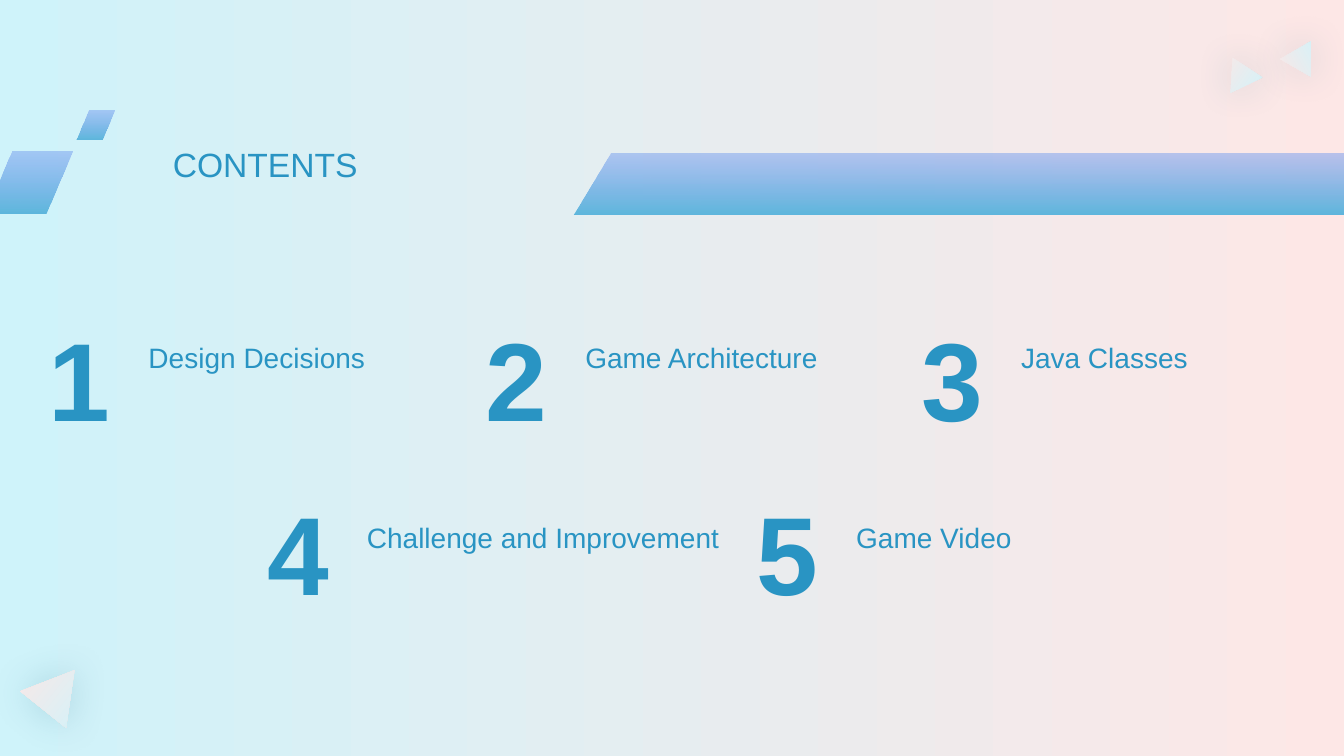
from lxml import etree
from pptx import Presentation, util as u
from pptx.dml.color import RGBColor
from pptx.enum import shapes, text
from pptx.oxml.ns import qn

PX = 9525  # EMU per px at 96 px to the inch
COLORS = {"ice": "CFF3FA", "blush": "FDE7E6", "text": "2994C3",
          "sea": "5EB6DD", "periwinkle": "759EEF", "shadow": "1B6382"}


def paint(fill, first, last, angle=0, last_alpha=None):
    fill.gradient()
    fill.gradient_angle = angle
    for stop, name in zip(fill.gradient_stops, (first, last)):
        stop.color.rgb = RGBColor.from_string(COLORS[name])
    if last_alpha:
        color = fill._fill._gradFill.findall(".//" + qn("a:srgbClr"))[-1]
        etree.SubElement(color, qn("a:alpha"), val=str(last_alpha * 1000))


def write(box, words, size, bold=False, anchor=text.MSO_ANCHOR.TOP):
    frame = box.text_frame
    frame.text = words
    frame.word_wrap = True
    frame.auto_size = text.MSO_AUTO_SIZE.NONE
    frame.vertical_anchor = anchor
    para = frame.paragraphs[0]
    para.alignment = text.PP_ALIGN.LEFT
    para.font.name = "Arial"
    para.font.size = u.Pt(size)
    para.font.bold = bold
    para.font.color.rgb = RGBColor.from_string(COLORS["text"])


deck = Presentation()
deck.slide_width, deck.slide_height = 1280 * PX, 720 * PX
page = deck.slides.add_slide(deck.slide_layouts[5])
paint(page.background.fill, "ice", "blush")

# Corner triangles with a soft glow
for left, top, width, height, turn, flipped in [
    (28, 633, 56, 48, 38.6, False),
    (1163, 62, 34, 29, 33.6, True),
    (1224, 46, 34, 29, 330.2, True),
]:
    triangle = page.shapes.add_shape(
        shapes.MSO_SHAPE.ISOSCELES_TRIANGLE,
        left * PX, top * PX, width * PX, height * PX)
    triangle.rotation = turn
    if flipped:
        triangle._element.spPr.xfrm.set("flipV", "1")
    paint(triangle.fill, "blush", "ice")
    triangle.line.fill.background()
    triangle.shadow.inherit = False
    effects = triangle._element.spPr.find(qn("a:effectLst"))
    glow = etree.SubElement(effects, qn("a:outerShdw"), blurRad=str(u.Pt(27)),
                            dist="0", dir="0", algn="ctr", rotWithShape="0")
    tint = etree.SubElement(glow, qn("a:srgbClr"), val=COLORS["shadow"])
    etree.SubElement(tint, qn("a:alpha"), val="20000")

# Numbered entries: number top, label top, then left edge, label width, label
rows = [
    (291, 319, [(37, 280, "Design Decisions"),
                (453, 280, "Game Architecture"),
                (868, 280, "Java Classes")]),
    (457, 490, [(245, 379, "Challenge and Improvement"),
                (711, 280, "Game Video")]),
]
number = 0
for number_top, label_top, entries in rows:
    for left, label_width, label in entries:
        number += 1
        box = page.shapes.add_textbox((left + 95) * PX, label_top * PX,
                                      label_width * PX, 42 * PX)
        write(box, label, 20, anchor=text.MSO_ANCHOR.BOTTOM)
        box = page.shapes.add_textbox(left * PX, number_top * PX,
                                      94 * PX, 152 * PX)
        write(box, str(number), 79.2, bold=True)

# Slanted header bands
bands = []
for start, *corners in [
    [(582, 146), (1280, 146), (1280, 204), (546, 204)],
    [(12, 144), (69, 144), (44, 203), (0, 203), (0, 172)],
]:
    outline = page.shapes.build_freeform(*start, scale=PX)
    outline.add_line_segments(corners, close=True)
    bands.append(outline.convert_to_shape())
chip = page.shapes.add_shape(shapes.MSO_SHAPE.PARALLELOGRAM,
                             73 * PX, 105 * PX, 36 * PX, 28 * PX)
chip.adjustments[0] = 0.41
for band in bands + [chip]:
    paint(band.fill, "sea", "periwinkle", angle=90, last_alpha=50)
    band.line.fill.background()
    band.shadow.inherit = False

# Title
title = page.shapes.title
title.left, title.top = 155 * PX, 132 * PX
title.width, title.height = 225 * PX, 87 * PX
write(title, "CONTENTS", 24)

deck.save("out.pptx")
